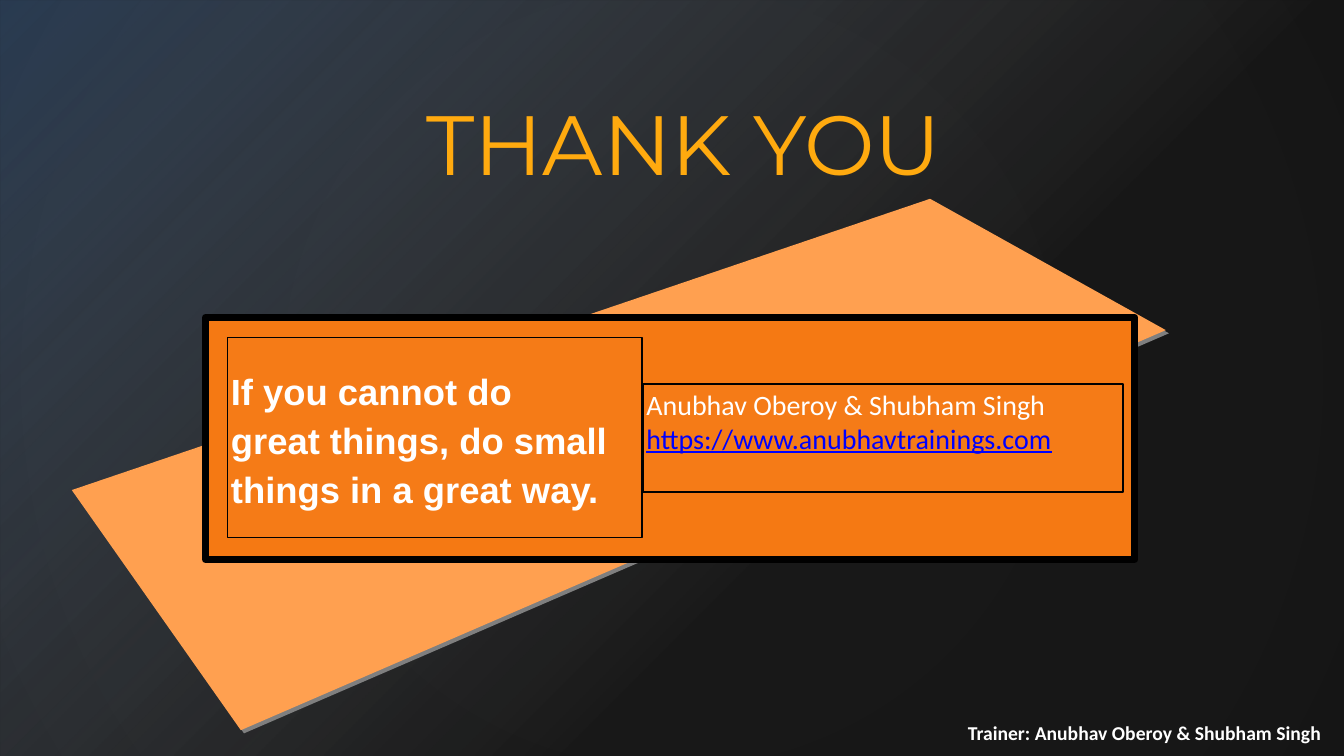
from lxml import etree
from pptx import Presentation
from pptx.dml.color import RGBColor
from pptx.enum.shapes import MSO_SHAPE
from pptx.enum.text import MSO_ANCHOR, PP_ALIGN
from pptx.oxml.ns import qn
from pptx.util import Cm, Pt

RECT = MSO_SHAPE.RECTANGLE
MIDDLE, TOP = MSO_ANCHOR.MIDDLE, MSO_ANCHOR.TOP
LEFT, CENTER = PP_ALIGN.LEFT, PP_ALIGN.CENTER
WIDTH, HEIGHT = 33.87, 19.05
COLORS = {
    "black": "000000", "white": "FFFFFF", "title": "FFAA0F",
    "band": "FFA050", "band_edge": "7F7F7F", "panel": "F57913",
    "box": "F57B17", "link": "0000FF", "glow": "558ED5",
    "pale": "EEEEEE", "silver": "D9D9D9",
}


def rgb(name):
    return RGBColor.from_string(COLORS[name])


def set_alpha(color, percent):
    etree.SubElement(color, qn("a:alpha"), val=str(percent * 1000))


def set_stops(grad, stops, angle=None):
    """Fill a gradFill with (position, colour, opacity); circular without an angle."""
    for child in list(grad):
        grad.remove(child)
    stop_list = etree.SubElement(grad, qn("a:gsLst"))
    for position, name, opacity in stops:
        stop = etree.SubElement(stop_list, qn("a:gs"), pos=str(position * 1000))
        color = etree.SubElement(stop, qn("a:srgbClr"), val=COLORS[name])
        if opacity < 100:
            set_alpha(color, opacity)
    if angle is None:
        circle = etree.SubElement(grad, qn("a:path"), path="circle")
        etree.SubElement(circle, qn("a:fillToRect"),
                         {side: "50000" for side in "ltrb"})
    else:
        etree.SubElement(grad, qn("a:lin"), ang=str(angle * 60000), scaled="0")


def write(tf, lines, size, font, color="white", bold=False, align=LEFT,
          anchor=TOP, spacing=None, insets=(0.25, 0.13, 0.25, 0.13)):
    """Write one paragraph per line; a line may be (text, colour) when underlined."""
    tf.word_wrap = True
    tf.vertical_anchor = anchor
    tf.margin_left, tf.margin_top, tf.margin_right, tf.margin_bottom = map(Cm, insets)
    for i, line in enumerate(lines):
        underlined = isinstance(line, tuple)
        text, ink = line if underlined else (line, color)
        p = tf.add_paragraph() if i else tf.paragraphs[0]
        p.alignment = align
        if spacing:
            p.line_spacing = Pt(spacing)
        r = p.add_run()
        r.text = text
        r.font.size, r.font.name, r.font.bold = Pt(size), font, bold
        r.font.color.rgb = rgb(ink)
        if underlined:
            r.font.underline = True


class SlideBuilder:
    def __init__(self, prs):
        self.slide = prs.slides.add_slide(prs.slide_layouts[6])
        self.shapes = self.slide.shapes

    def background(self, stops):
        self.slide.background.fill.gradient()
        set_stops(next(self.slide.element.iter(qn("a:gradFill"))), stops)

    def rect(self, x, y, w, h, fill, line=None, opacity=100):
        sp = self.shapes.add_shape(RECT, Cm(x), Cm(y), Cm(w), Cm(h))
        self.paint(sp, fill, line)
        if opacity < 100:
            set_alpha(next(sp.element.spPr.iter(qn("a:srgbClr"))), opacity)
        return sp

    def gradient_rect(self, x, y, w, h, stops, angle):
        sp = self.rect(x, y, w, h, "white")
        sp.fill.gradient()
        set_stops(next(sp.element.spPr.iter(qn("a:gradFill"))), stops, angle)

    def polygon(self, points, fill, shift=0):
        corners = [(Cm(x + shift), Cm(y + shift)) for x, y in points]
        builder = self.shapes.build_freeform(*corners[0])
        builder.add_line_segments(corners[1:], close=True)
        self.paint(builder.convert_to_shape(), fill)

    def paint(self, sp, fill, line=None):
        sp.shadow.inherit = False
        sp.fill.solid()
        sp.fill.fore_color.rgb = rgb(fill)
        if line:
            sp.line.color.rgb = rgb("black")
            sp.line.width = Pt(line)
        else:
            sp.line.fill.background()

    def text(self, x, y, w, h, lines, **style):
        box = self.shapes.add_textbox(Cm(x), Cm(y), Cm(w), Cm(h))
        write(box.text_frame, lines, **style)

    def text_rect(self, x, y, w, h, lines, **style):
        sp = self.rect(x, y, w, h, "box", line=1)
        write(sp.text_frame, lines, anchor=MIDDLE, **style)


def main():
    prs = Presentation()
    prs.slide_width, prs.slide_height = Cm(WIDTH), Cm(HEIGHT)
    s = SlideBuilder(prs)

    s.background([(0, "white", 100), (81, "pale", 100), (100, "silver", 100)])
    s.rect(0, 0, WIDTH, HEIGHT, "black", opacity=90)
    s.gradient_rect(0, 0, WIDTH, HEIGHT,
                    [(0, "glow", 31), (63, "white", 0)], angle=45)
    s.text(8.76, 2.18, 16.94, 2.82, ["THANK YOU"],
           size=60, font="Montserrat", color="title", align=CENTER)

    band = [(1.81, 12.35), (23.44, 5.01), (29.38, 8.32), (6.07, 18.4)]
    s.polygon(band, "band_edge", shift=0.08)
    s.polygon(band, "band")

    s.rect(5.18, 8, 23.42, 6.1, "panel", line=5)
    s.text_rect(16.21, 9.68, 12.09, 2.72,
                ["Anubhav Oberoy & Shubham Singh",
                 ("https://www.anubhavtrainings.com", "link")],
                size=20, font="Calibri", spacing=24,
                insets=(0.08, 0.08, 0.08, 0.93))
    s.text_rect(5.74, 8.51, 10.44, 5.03,
                ["If you cannot do",
                 "great things, do small things in a great way."],
                size=26, font="Arial", bold=True, spacing=35,
                insets=(0.08, 0.08, 0.08, 0.08))
    s.text(23.93, 17.98, 9.83, 0.99, ["Trainer: Anubhav Oberoy & Shubham Singh"],
           size=14, font="Calibri", bold=True, align=CENTER, anchor=MIDDLE,
           insets=(0.33, 0.18, 0.33, 0.18))
    prs.save("out.pptx")


if __name__ == "__main__":
    main()
